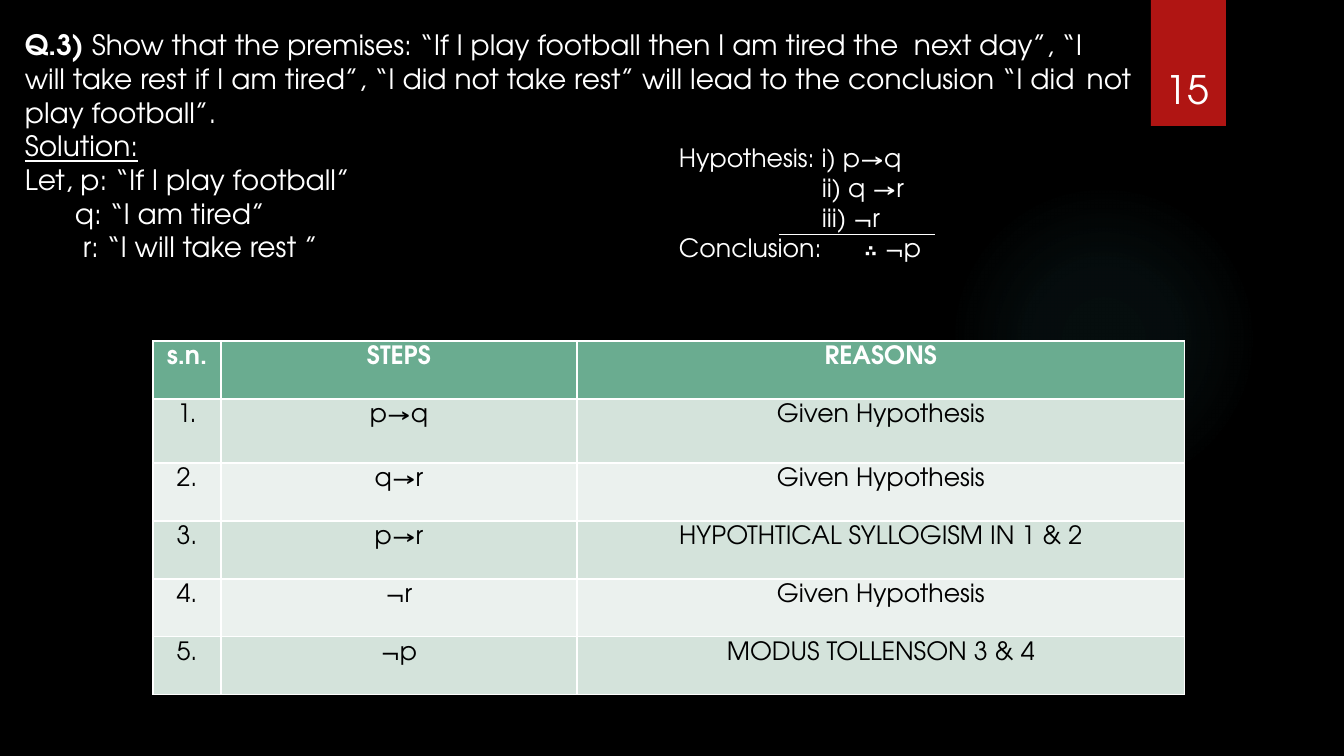
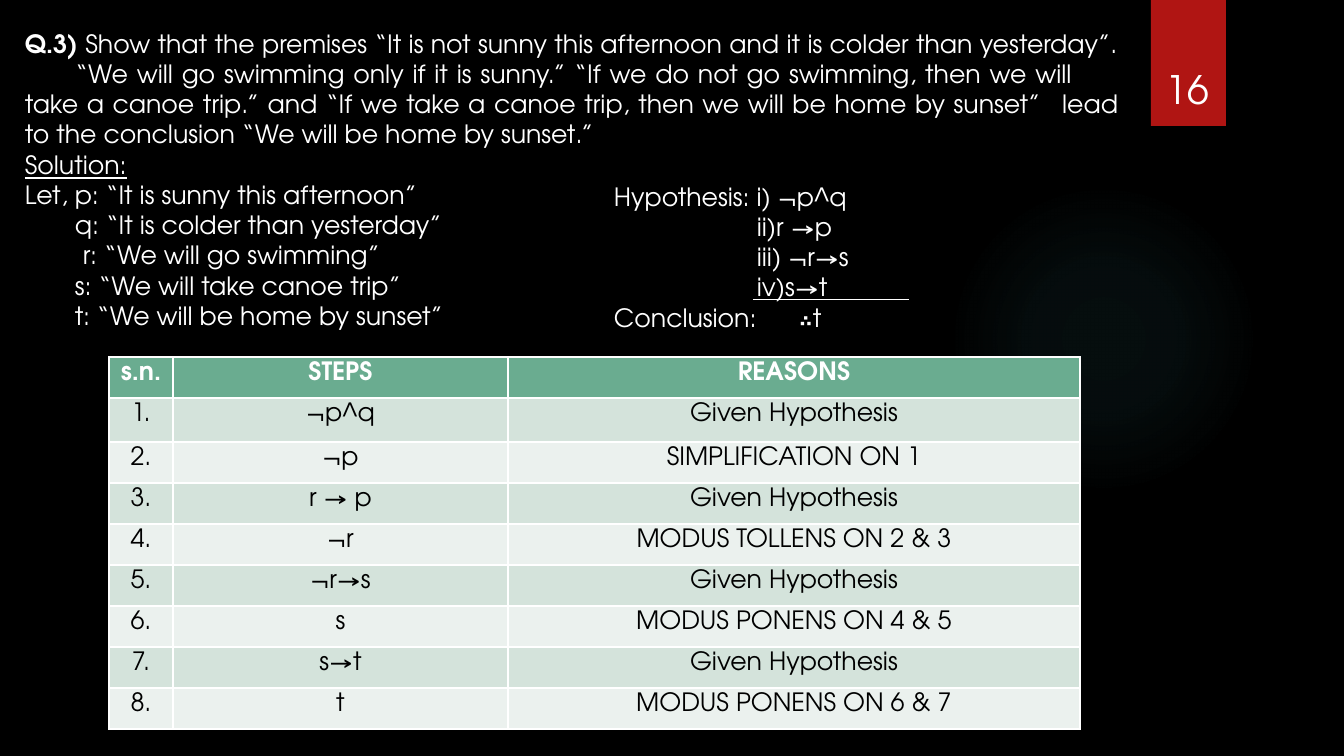
from lxml import etree
from pptx import Presentation
from pptx.dml.color import RGBColor
from pptx.enum import shapes, text
from pptx.oxml import ns, parse_xml
from pptx.util import Pt

SCALE = 914400 / 100.8
BLACK = RGBColor(0, 0, 0)
WHITE = RGBColor(255, 255, 255)
RED = RGBColor(0xB0, 0x15, 0x13)
TEAL = RGBColor(0x50, 0xB9, 0xC1)
GREEN = RGBColor(0x6A, 0xAC, 0x90)
SAGE = RGBColor(0xD4, 0xE3, 0xDB)
PALE = RGBColor(0xEB, 0xF1, 0xEE)
FONT = "TeX Gyre Adventor"
BOLD = {"bold": True}
LINE = {"underline": True}
MID = text.PP_ALIGN.CENTER
JUST = text.PP_ALIGN.JUSTIFY
LEFT = text.PP_ALIGN.LEFT
SPACE = ns.nsdecls("a")


def px(*vals):
    return [round(val * SCALE) for val in vals]


class Deck:
    def __init__(self):
        self.show = Presentation()
        self.show.slide_width, self.show.slide_height = px(1344, 756)

    def page(self, num):
        self.slide = self.show.slides.add_slide(self.show.slide_layouts[6])
        back = self.slide.background.fill
        back.solid()
        back.fore_color.rgb = BLACK
        self.glow()
        band = self.shape(shapes.MSO_SHAPE.RECTANGLE, 1151, 0, 75, 126)
        band.fill.solid()
        band.fill.fore_color.rgb = RED
        frame = self.box((1141, 32, 93, 85), [(0, [(num, {})])], 28, MID)
        frame.vertical_anchor = text.MSO_ANCHOR.BOTTOM

    def shape(self, kind, *area):
        item = self.slide.shapes.add_shape(kind, *px(*area))
        item.shadow.inherit = False
        item.line.fill.background()
        return item

    def glow(self):
        disc = self.shape(shapes.MSO_SHAPE.OVAL, 949, 184, 310, 310)
        stops = "".join(
            f'<a:gs pos="{pos}000"><a:srgbClr val="{TEAL}">'
            f'<a:alpha val="{alpha}000"/></a:srgbClr></a:gs>'
            for pos, alpha in ((0, 7), (36, 6), (69, 0)))
        grad = parse_xml(
            f'<a:gradFill {SPACE}><a:gsLst>{stops}</a:gsLst><a:path path="circle">'
            '<a:fillToRect l="50000" t="50000" r="50000" b="50000"/>'
            '</a:path></a:gradFill>')
        disc.element.spPr.find(ns.qn("a:prstGeom")).addnext(grad)

    def run(self, para, words, size, color=WHITE, style=None):
        font_run = para.add_run()
        font_run.text = words
        look = {"name": FONT, "size": Pt(size), "bold": False, **(style or {})}
        for key, val in look.items():
            setattr(font_run.font, key, val)
        font_run.font.color.rgb = color

    def box(self, area, paras, size, align, stop=None):
        frame = self.slide.shapes.add_textbox(*px(*area)).text_frame
        frame.word_wrap = True
        for row, (indent, runs) in enumerate(paras):
            para = frame.add_paragraph() if row else frame.paragraphs[0]
            para.alignment = align
            props = para._p.get_or_add_pPr()
            if indent:
                props.set("marL", str(px(indent)[0]))
                props.set("indent", "0")
            if stop:
                tabs = etree.SubElement(props, ns.qn("a:tabLst"))
                etree.SubElement(tabs, ns.qn("a:tab"), pos=str(px(stop)[0]), algn="l")
            for words, style in runs:
                self.run(para, words, size, style=style)
        return frame

    def rule(self, left, right, top):
        line = self.slide.shapes.add_connector(
            shapes.MSO_CONNECTOR.STRAIGHT, *px(left, top, right, top))
        line.line.color.rgb = WHITE
        line.line.width = Pt(0.75)
        etree.SubElement(line.element.spPr, ns.qn("a:effectLst"))

    def grid(self, left, top, cols, high, first, steps):
        data = [("s.n.", "STEPS", "REASONS")]
        data += [(f"{num}.", *step) for num, step in enumerate(steps, 1)]
        tall = [first if row == 1 else high for row in range(len(data))]
        table = self.slide.shapes.add_table(
            len(data), len(cols), *px(left, top, sum(cols), sum(tall))).table
        for col, wide in zip(table.columns, px(*cols)):
            col.width = wide
        for row, size in enumerate(px(*tall)):
            table.rows[row].height = size
            fill = (SAGE if row % 2 else PALE) if row else GREEN
            for col, words in enumerate(data[row]):
                cell = table.cell(row, col)
                cell.fill.solid()
                cell.fill.fore_color.rgb = fill
                para = cell.text_frame.paragraphs[0]
                para.alignment = MID
                self.run(para, words, 18, BLACK if row else WHITE,
                         {} if row else BOLD)

    def task(self, area, size, ask, first, rest):
        paras = [(0, [("Q.3) ", BOLD), (ask, {})]),
                 (0, [("Solution:", LINE)]),
                 (0, [("Let, " + first, {})])]
        paras += [(58 if words[0] == "r" else 50, [(words, {})]) for words in rest]
        self.box(area, paras, size, JUST)

    def proof(self, area, given, sign, end):
        paras = [(143 if row else 0, [(words, {})]) for row, words in enumerate(given)]
        paras.append((0, [("Conclusion:\t", {}), (sign, BOLD), (end, {})]))
        self.box(area, paras, 18, LEFT, 185)


GIVEN = "Given Hypothesis"
deck = Deck()

deck.page("15")
deck.task(
    (15, 23, 1126, 350), 20,
    "Show that the premises: “If I play football then I am tired the  next day”, “I "
    "\twill take rest if I am tired”, “I did not take rest” will lead to the conclusion "
    "“I did \tnot play football”.",
    "p: “If I play football”", ["q: “I am tired”", "r: “I will take rest ”"])
deck.proof((669, 137, 510, 132),
           ["Hypothesis: i) p→q", "ii) q →r", "iii) ¬r"], "∴ ", "¬p")
deck.rule(779, 935, 235)
deck.grid(153, 341, (68, 356, 608), 58, 64, [
    ("p→q", GIVEN),
    ("q→r", GIVEN),
    ("p→r", "HYPOTHTICAL SYLLOGISM IN 1 & 2"),
    ("¬r", GIVEN),
    ("¬p", "MODUS TOLLENSON 3 & 4")])

deck.page("16")
deck.task(
    (15, 23, 1113, 315), 18,
    "Show that the premises “It is not sunny this afternoon and it is colder than "
    "yesterday”. \t“We will go swimming only if it is sunny.” “If we do not go swimming, "
    "then we will \ttake a canoe trip.” and “If we take a canoe trip, then we will be "
    "home by sunset” \tlead to the conclusion “We will be home by sunset.”",
    "p: “It is sunny this afternoon”",
    ["q: “It is colder than yesterday”", "r: “We will go swimming”",
     "s: “We will take canoe trip”", "t: “We will be home by sunset”"])
deck.proof((604, 176, 510, 163),
           ["Hypothesis: i) ¬p^q", "ii)r →p", "iii) ¬r→s", "iv)s→t"], "∴", "t")
deck.rule(753, 909, 300)
deck.grid(109, 357, (64, 335, 572), 41, 44, [
    ("¬p^q", GIVEN),
    ("¬p", "SIMPLIFICATION ON 1"),
    ("r → p", GIVEN),
    ("¬r", "MODUS TOLLENS ON 2 & 3"),
    ("¬r→s", GIVEN),
    ("s", "MODUS PONENS ON 4 & 5"),
    ("s→t", GIVEN),
    ("t", "MODUS PONENS ON 6 & 7")])

deck.show.save("out.pptx")
